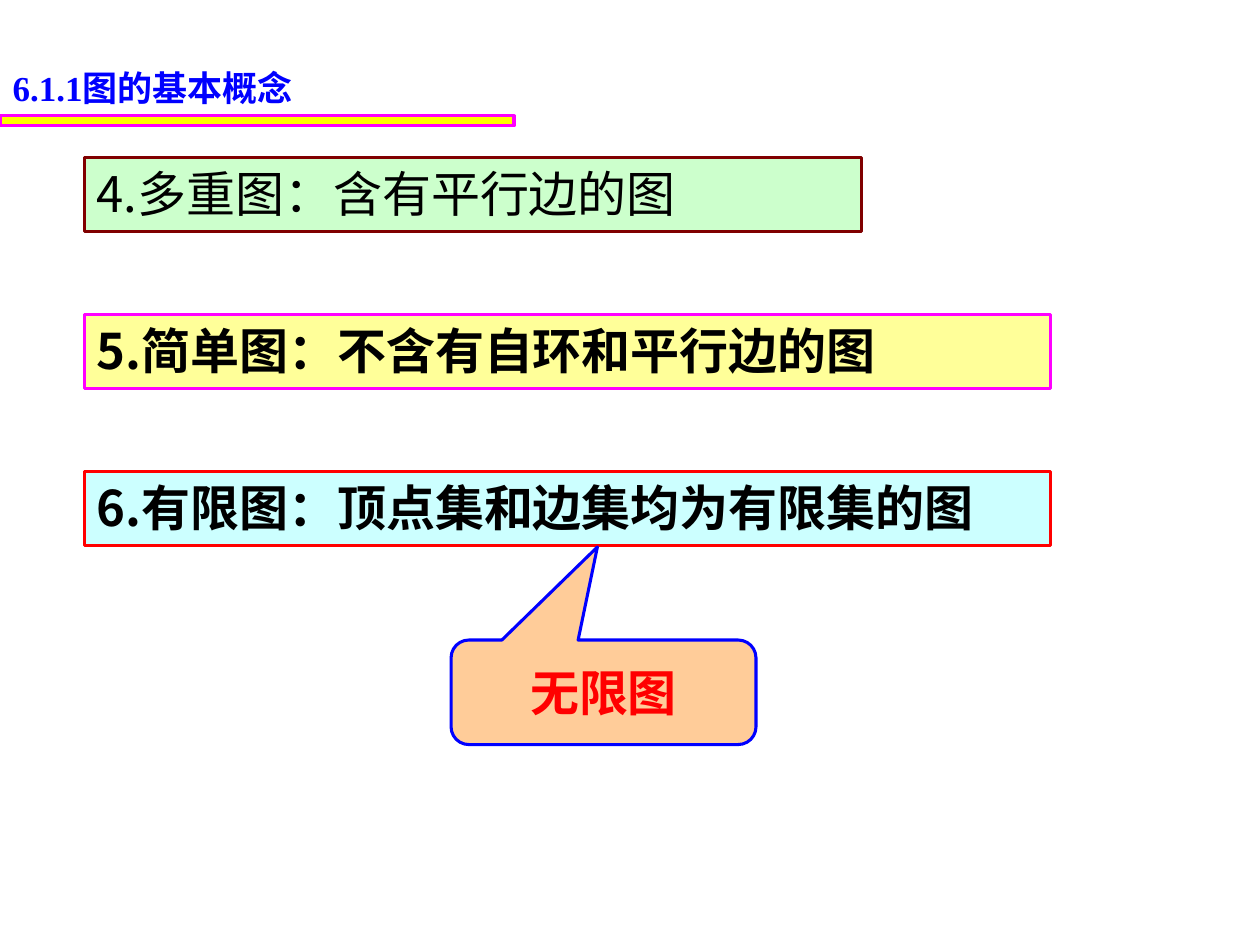
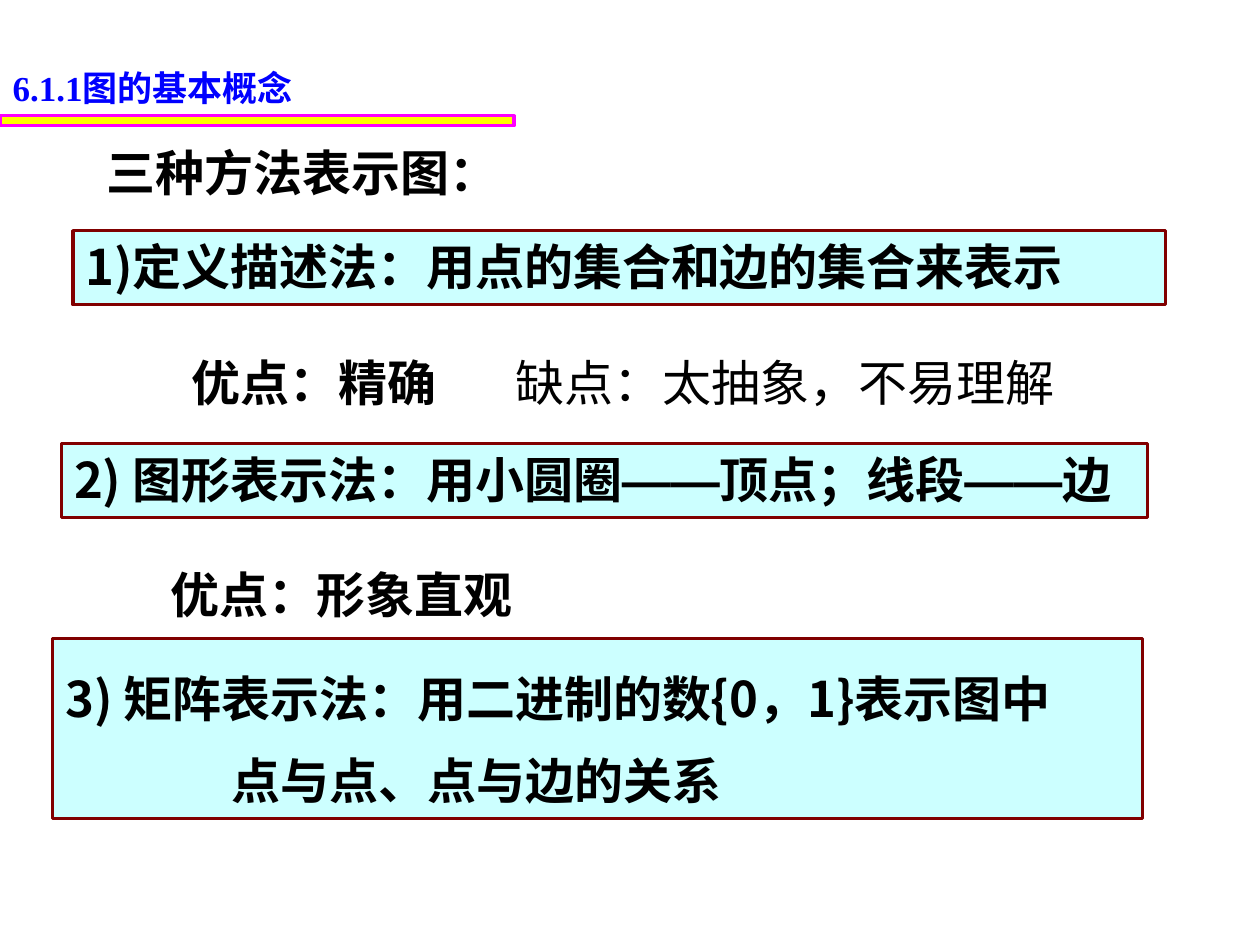
import pptx
import pptx.util
import pptx.dml.color
import pptx.enum.shapes
import pptx.enum.text
import lxml.etree
from pptx.util import Inches, Pt

SHAPES = pptx.enum.shapes.MSO_SHAPE
ANCHOR = pptx.enum.text.MSO_ANCHOR
ALIGN = pptx.enum.text.PP_ALIGN

ARIAL = "Arial"
CJK_JP = "Noto Sans CJK JP"
CJK_SC = "Noto Sans CJK SC"
BLACK, RED, BLUE = "000000", "FF0000", "0000FF"
MAGENTA, YELLOW, MAROON = "FF00FF", "FFFF00", "800000"
PALE_CYAN = "CCFFFF"
LINE_HEIGHT = 0.59
LABEL_HEIGHT = 0.57

TITLE = [("6.1.1", "Times New Roman"), ("图的基本概念", ARIAL)]

# text, width, fill, line, bold
GRAPH_KINDS = [
    ("4.多重图：含有平行边的图", 6.17, "CCFFCC", MAROON, False),
    ("5.简单图：不含有自环和平行边的图", 7.67, "FFFF99", MAGENTA, True),
    ("6.有限图：顶点集和边集均为有限集的图", 7.67, PALE_CYAN, RED, True),
]
KINDS_LEFT, KINDS_TOP, KINDS_STEP = 0.67, 1.25, 1.245

METHODS_HEADING = "三种方法表示图："

# left, top, width, height, wrap, paragraphs of (text, font) runs
METHODS = [
    (0.58, 1.83, 8.67, LINE_HEIGHT, True,
     [[("1)定义描述法：用点的集合和边的集合来表示", CJK_SC)]]),
    (0.49, 3.52, 8.62, LINE_HEIGHT, False,
     [[("2) 图形表示法：用小圆圈", CJK_SC), ("——", ARIAL), ("顶点；线段", CJK_SC),
       ("——", ARIAL), ("边", CJK_SC)]]),
    (0.42, 5.07, 8.65, 1.43, True,
     [[("3) 矩阵表示法：用二进制的数{0，1}表示图中", CJK_SC)],
      [("点与点、点与边的关系", CJK_SC)]]),
]

# text, left, top, width, bold
REMARKS = [
    ("优点：精确", 1.42, 2.75, 2.14, True),
    ("缺点：太抽象，不易理解", 3.99, 2.75, 4.48, False),
    ("优点：形象直观", 1.25, 4.43, 2.92, True),
]


def rgb(value):
    return pptx.dml.color.RGBColor.from_string(value)


def add_run(paragraph, text, font, size=28, color=BLACK, bold=True):
    run = paragraph.add_run()
    run.text = text
    run.font.size = Pt(size)
    run.font.bold = bold
    run.font.color.rgb = rgb(color)
    run.font.name = font
    east_asian = lxml.etree.Element(pptx.oxml.ns.qn("a:ea"), typeface=font)
    run.font._element.find(pptx.oxml.ns.qn("a:latin")).addnext(east_asian)


def write(shape, paragraphs, align=ALIGN.LEFT, anchor=ANCHOR.TOP, wrap=True, **style):
    """Fill a shape with paragraphs, each a list of (text, font) runs."""
    frame = shape.text_frame
    frame.auto_size = pptx.enum.text.MSO_AUTO_SIZE.NONE
    frame.word_wrap = wrap
    frame.vertical_anchor = anchor
    for index, runs in enumerate(paragraphs):
        paragraph = frame.add_paragraph() if index else frame.paragraphs[0]
        paragraph.alignment = align
        for text, font in runs:
            add_run(paragraph, text, font, **style)


def add_box(slide, kind, left, top, width, height, fill, line):
    shape = slide.shapes.add_shape(
        kind, Inches(left), Inches(top), Inches(width), Inches(height))
    shape.shadow.inherit = False
    shape.fill.solid()
    shape.fill.fore_color.rgb = rgb(fill)
    shape.line.color.rgb = rgb(line)
    shape.line.width = Pt(1.75)
    return shape


def add_label(slide, text, left, top, width, **style):
    label = slide.shapes.add_textbox(
        Inches(left), Inches(top), Inches(width), Inches(LABEL_HEIGHT))
    write(label, [[(text, ARIAL)]], **style)


def add_titled_slide(presentation):
    slide = presentation.slides.add_slide(presentation.slide_layouts[5])
    title = slide.shapes.title
    title.left, title.top = Inches(0), Inches(0.48)
    title.width, title.height = Inches(3.52), Inches(0.43)
    write(title, [TITLE], size=20, color=BLUE)
    add_box(slide, SHAPES.RECTANGLE, 0, 0.92, 4.08, 0.08, YELLOW, MAGENTA)
    return slide


def build_kinds_slide(presentation):
    slide = add_titled_slide(presentation)
    for row, (text, width, fill, line, bold) in enumerate(GRAPH_KINDS):
        box = add_box(slide, SHAPES.RECTANGLE, KINDS_LEFT, KINDS_TOP + row * KINDS_STEP,
                      width, LINE_HEIGHT, fill, line)
        write(box, [[(text, CJK_JP)]], bold=bold)

    callout = add_box(slide, SHAPES.ROUNDED_RECTANGULAR_CALLOUT,
                      3.58, 5.08, 2.42, 0.83, "FFCC99", BLUE)
    for index, value in enumerate((-0.02, -1.39, 0.17)):
        callout.adjustments[index] = value
    write(callout, [[("无限图", ARIAL)]], ALIGN.CENTER, ANCHOR.MIDDLE, color=RED)


def build_methods_slide(presentation):
    slide = add_titled_slide(presentation)
    add_label(slide, METHODS_HEADING, 0.75, 1.08, 4)
    for left, top, width, height, wrap, paragraphs in METHODS:
        box = add_box(slide, SHAPES.RECTANGLE, left, top, width, height, PALE_CYAN, MAROON)
        write(box, paragraphs, wrap=wrap)
        if len(paragraphs) > 1:
            for paragraph in box.text_frame.paragraphs:
                paragraph.line_spacing = 1.4
            continuation = box.text_frame.paragraphs[-1]
            continuation._p.get_or_add_pPr().set("marL", str(Inches(1.32)))
    for text, left, top, width, bold in REMARKS:
        add_label(slide, text, left, top, width, align=ALIGN.CENTER, wrap=False, bold=bold)


def main():
    presentation = pptx.Presentation()
    presentation.slide_width = Inches(10)
    presentation.slide_height = Inches(7.5)
    build_kinds_slide(presentation)
    build_methods_slide(presentation)
    presentation.save("out.pptx")


if __name__ == "__main__":
    main()
